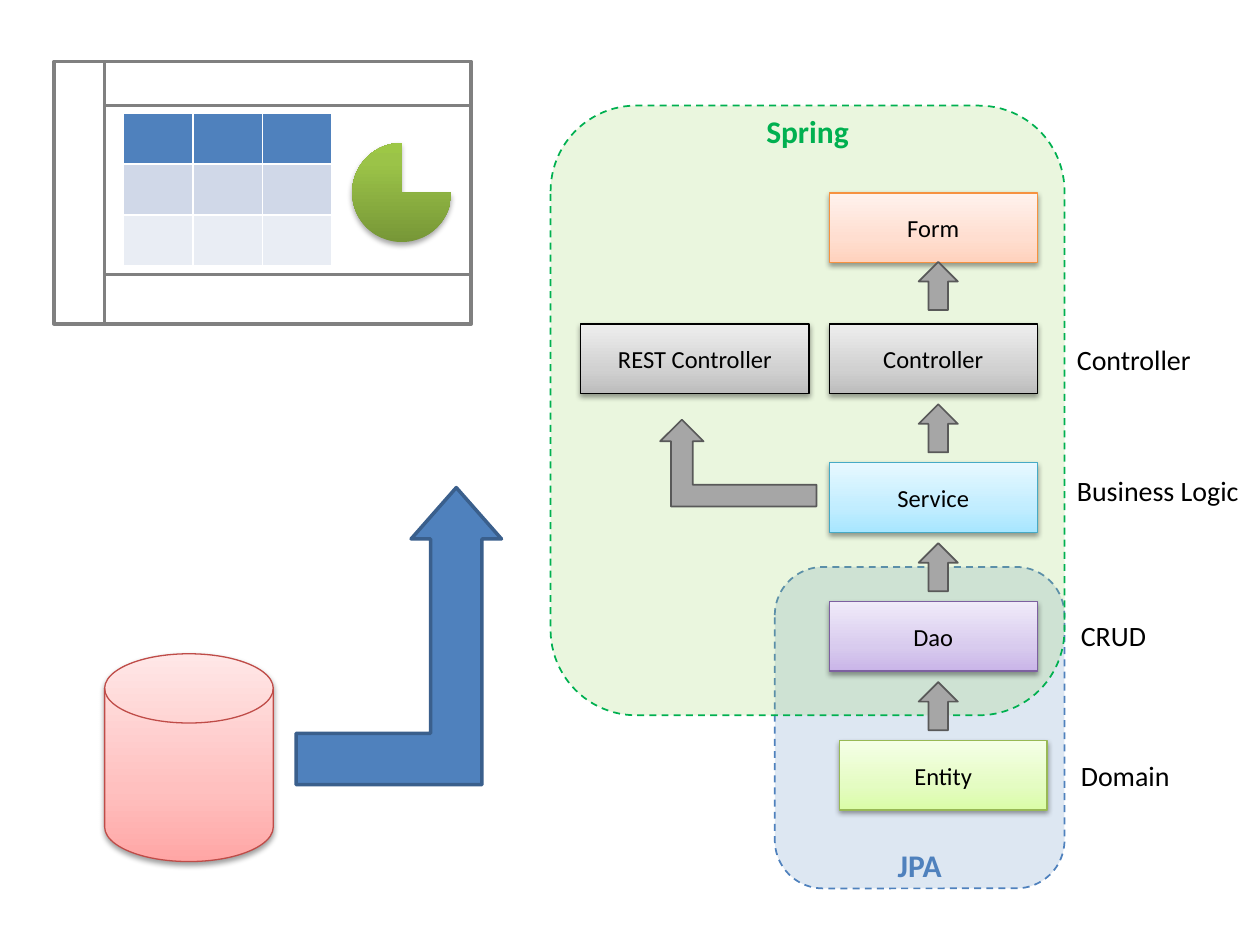
from lxml.etree import SubElement
from pptx import Presentation
from pptx.dml.color import RGBColor
from pptx.enum.dml import MSO_LINE
from pptx.enum.shapes import MSO_CONNECTOR, MSO_SHAPE as SHP
from pptx.enum.text import MSO_ANCHOR, PP_ALIGN
from pptx.oxml.ns import qn
from pptx.util import Cm, Pt


def rgb(value):
    return RGBColor.from_string(value)


class Diagram:
    """Holds the style and the current slide; positions are in centimetres."""
    font = "Calibri"
    ink = "000000"

    def __init__(self, slide):
        self.slide = slide

    def add_text(self, tf, text, size, color=ink, bold=False, align=PP_ALIGN.LEFT):
        tf.word_wrap = True
        p = tf.paragraphs[0]
        p.alignment = align
        r = p.add_run()
        r.text = text
        r.font.name, r.font.size, r.font.bold = self.font, Pt(size), bold
        r.font.color.rgb = rgb(color)

    def shape(self, kind, x, y, w, h, fill=None, line=None, width=1):
        sp = self.slide.shapes.add_shape(kind, Cm(x), Cm(y), Cm(w), Cm(h))
        sp.shadow.inherit = False
        if fill:
            sp.fill.solid()
            sp.fill.fore_color.rgb = rgb(fill)
        if line:
            sp.line.color.rgb = rgb(line)
            sp.line.width = Pt(width)
        else:
            sp.line.fill.background()
        return sp

    def region(self, x, y, w, h, fill, line):
        """Dashed, see-through rounded area."""
        sp = self.shape(SHP.ROUNDED_RECTANGLE, x, y, w, h, fill, line)
        sp.line.dash_style = MSO_LINE.DASH
        color = sp._element.spPr.find(qn("a:solidFill"))[0]
        SubElement(color, qn("a:alpha"), val="19000")

    def raised(self, kind, x, y, w, h, stops, line=None, alpha=38):
        """Shape with a gradient from bottom to top and a soft shadow."""
        sp = self.shape(kind, x, y, w, h, line=line, width=0.75)
        sp_pr = sp._element.spPr
        grad = SubElement(sp_pr, qn("a:gradFill"), rotWithShape="1")
        stop_list = SubElement(grad, qn("a:gsLst"))
        for pos, color in stops:
            gs = SubElement(stop_list, qn("a:gs"), pos=str(pos * 1000))
            SubElement(gs, qn("a:srgbClr"), val=color)
        SubElement(grad, qn("a:lin"), ang="16200000", scaled="0")
        sp_pr.find(qn("a:prstGeom")).addnext(grad)
        shadow = SubElement(sp_pr.find(qn("a:effectLst")), qn("a:outerShdw"),
                            blurRad="40000", dist="20000", dir="5400000", rotWithShape="0")
        color = SubElement(shadow, qn("a:srgbClr"), val="000000")
        SubElement(color, qn("a:alpha"), val=str(alpha * 1000))
        return sp

    def box(self, text, x, y, w, colors, line):
        sp = self.raised(SHP.FLOWCHART_PROCESS, x, y, w, BOX_H, zip((0, 35, 100), colors), line)
        sp.text_frame.vertical_anchor = MSO_ANCHOR.MIDDLE
        self.add_text(sp.text_frame, text, 14, align=PP_ALIGN.CENTER)

    def label(self, text, x, y, w, size=16, **style):
        tb = self.slide.shapes.add_textbox(Cm(x), Cm(y), Cm(w), Cm(0.94))
        self.add_text(tb.text_frame, text, size, **style)

    def line(self, x1, y1, x2, y2, color, width):
        cn = self.slide.shapes.add_connector(MSO_CONNECTOR.STRAIGHT, Cm(x1), Cm(y1), Cm(x2), Cm(y2))
        cn.line.color.rgb = rgb(color)
        cn.line.width = Pt(width)
        SubElement(cn._element.spPr, qn("a:effectLst"))

    def table(self, x, y, col_w, row_h, cols, row_fills):
        """Empty grid with one fill per row."""
        rows = len(row_fills)
        tbl = self.slide.shapes.add_table(rows, cols, Cm(x), Cm(y),
                                          Cm(col_w * cols), Cm(row_h * rows)).table
        for row, fill in zip(tbl.rows, row_fills):
            for cell in row.cells:
                cell.fill.solid()
                cell.fill.fore_color.rgb = rgb(fill)


BOX_W, BOX_H = 4.19, 1.4
STACK_X, STACK_Y, PITCH = 16.72, 6.53, 2.8
ARROW_RISE = 1.18  # from the top of a box up to the top of its arrow
GRAY_BOX = ("BDBDBD", "D1D1D1", "EEEEEE"), "000000"
ARROW_STYLE = "A6A6A6", "595959"
FRAME = "808080"
GREEN, BLUE = "00B050", "4F81BD"

# text, x, colours from bottom to top, line
STACK = [
    ("Controller", STACK_X, *GRAY_BOX),
    ("Service", STACK_X, ("A7E6FF", "C1EDFF", "E7F8FF"), "46AAC5"),
    ("Dao", STACK_X, ("C9B5E8", "D8CBEE", "F0EAF9"), "7D60A0"),
    ("Entity", STACK_X + 0.2, ("DAFDA7", "E4FCC2", "F5FFE7"), "98B955"),
]
ROLES = [("Controller", 21.46, 6.78), ("Business Logic", 21.46, 9.42),
         ("CRUD", 21.54, 12.34), ("Domain", 21.54, 15.16)]


def draw_layers(d):
    d.region(15.62, 11.43, 5.84, 6.48, BLUE, BLUE)
    d.region(11.1, 2.13, 10.36, 12.29, "92D050", GREEN)
    d.label("JPA", 15.62, 16.93, 5.84, 18, color=BLUE, bold=True, align=PP_ALIGN.CENTER)
    d.label("Spring", 11.1, 2.14, 10.36, 18, color=GREEN, bold=True, align=PP_ALIGN.CENTER)

    branch = d.shape(SHP.BENT_UP_ARROW, 13.31, 8.46, 3.15, 1.75, *ARROW_STYLE)
    branch._element.spPr.find(qn("a:xfrm")).set("flipH", "1")

    d.box("Form", STACK_X, 3.89, BOX_W, ("FFD2BD", "FFDED0", "FFF2ED"), "F69240")
    d.box("REST Controller", 11.71, STACK_Y, 4.6, *GRAY_BOX)
    arrow_tops = [5.28]
    for i, (text, x, colors, line) in enumerate(STACK):
        y = STACK_Y + i * PITCH
        d.box(text, x, y, BOX_W, colors, line)
        if i:
            arrow_tops.append(y - ARROW_RISE)
    for y in arrow_tops:
        d.shape(SHP.UP_ARROW, 18.52, y, 0.79, 0.97, *ARROW_STYLE)
    for text, x, y in ROLES:
        d.label(text, x, y, 3.85)


def draw_screen(d):
    left, top, right, bottom, split = 1.09, 1.24, 9.5, 6.53, 2.11
    d.shape(SHP.FLOWCHART_PROCESS, left, top, right - left, bottom - top, "FFFFFF", FRAME, 2)
    d.line(split, top, split, bottom, FRAME, 2)
    for y in (2.13, 5.53):
        d.line(split, y, right, y, FRAME, 2)
    d.raised(SHP.PIE, 7.1, 2.88, 2, 2, [(0, "779737"), (80, "9BC348"), (100, "9DC746")], alpha=35)
    d.table(2.49, 2.29, 1.4, 1.02, 3, (BLUE, "D0D8E8", "E9EDF4"))


def draw_database(d):
    d.raised(SHP.FLOWCHART_MAGNETIC_DISK, 2.11, 13.18, 3.4, 4.19,
             [(0, "FFA6A5"), (35, "FFC0BF"), (100, "FFE7E7")], "BF4C48")
    arrow = d.shape(SHP.BENT_UP_ARROW, 5.97, 9.83, 4.14, 5.99, BLUE, "3A5F8C", 2)
    arrow.adjustments[1] = 0.22


def main():
    prs = Presentation()
    prs.slide_width, prs.slide_height = Cm(25.4), Cm(19.05)
    d = Diagram(prs.slides.add_slide(prs.slide_layouts[6]))
    draw_layers(d)
    draw_screen(d)
    draw_database(d)
    prs.save("out.pptx")


if __name__ == "__main__":
    main()
